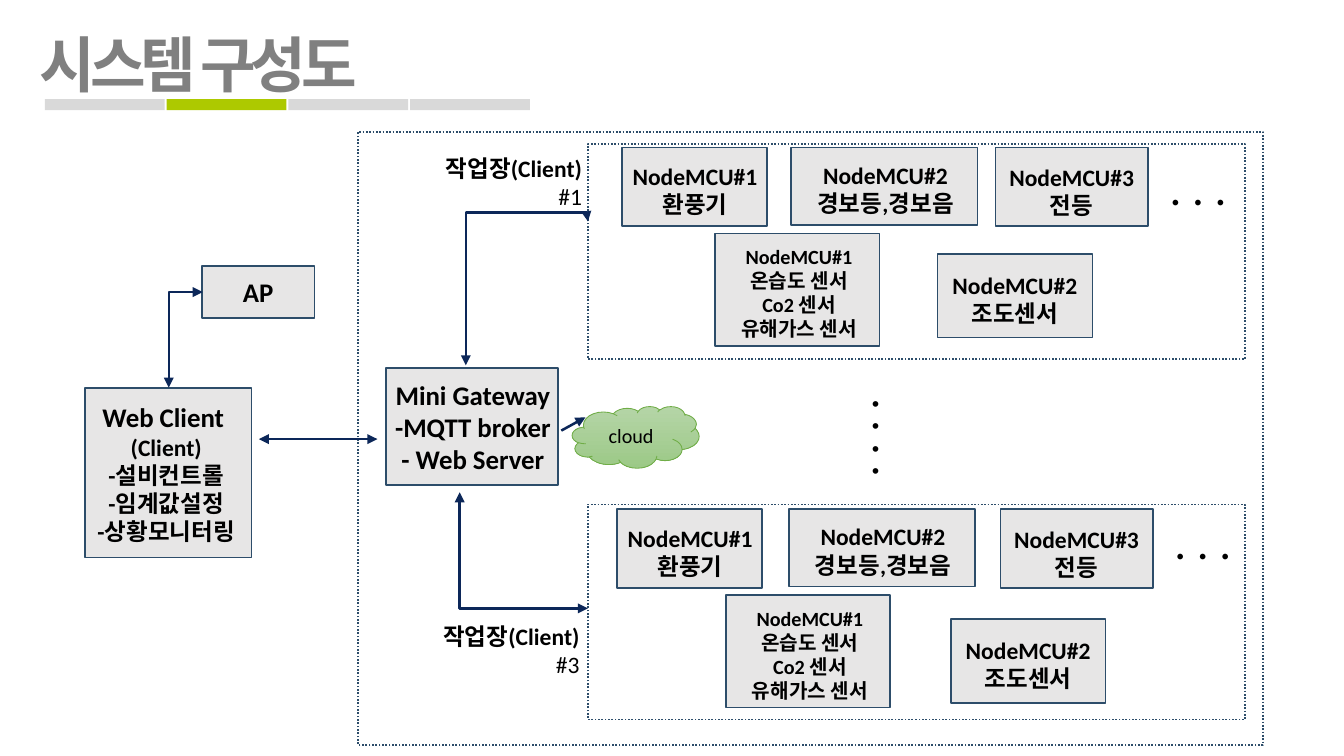
"""Builds the system architecture slide of an MQTT workshop control system."""
from pptx import Presentation
from pptx.dml.color import RGBColor
from pptx.enum.dml import MSO_LINE
from pptx.enum.shapes import MSO_CONNECTOR, MSO_SHAPE
from pptx.enum.text import MSO_ANCHOR, MSO_AUTO_SIZE, PP_ALIGN
from pptx.oxml.ns import qn
from pptx.util import Inches, Pt
from lxml.etree import SubElement

WHITE = RGBColor(0xFF, 0xFF, 0xFF)
BLACK = RGBColor(0x00, 0x00, 0x00)
TITLE_GRAY = RGBColor(0x80, 0x80, 0x80)
BAR_GRAY = RGBColor(0xD9, 0xD9, 0xD9)
BAR_GREEN = RGBColor(0xAD, 0xC9, 0x00)
BOX_GRAY = RGBColor(0xE7, 0xE6, 0xE6)
BOX_LINE = RGBColor(0x2D, 0x4D, 0x6A)
ARROW_NAVY = RGBColor(0x0C, 0x27, 0x59)
CLOUD_TOP = RGBColor(0xB5, 0xD5, 0xA7)
CLOUD_BOTTOM = RGBColor(0x9C, 0xC9, 0x87)
CLOUD_LINE = RGBColor(0x70, 0xAD, 0x47)

BODY_FONT = "Calibri"
TITLE_FONT = "Noto Sans CJK KR"

NODES = [
    ("NodeMCU#1\n환풍기", 14, (1.2, 0.65), (-0.02, 0.07, 1.25, 0.57)),
    ("NodeMCU#2\n경보등,경보음", 14, (1.54, 0.64), (0.01, 0.06, 1.54, 0.57)),
    ("NodeMCU#3\n전등", 14, (1.26, 0.65), (0, 0.08, 1.26, 0.57)),
    ("NodeMCU#1\n온습도 센서\nCo2 센서\n유해가스 센서", 12, (1.36, 0.93), (0.05, 0.04, 1.29, 0.91)),
    ("NodeMCU#2\n조도센서", 14, (1.28, 0.69), (0.02, 0.09, 1.24, 0.57)),
]
WORKSHOPS = [
    {
        "frame_top": 1.19, "name": "작업장(Client)\n#1", "name_at": (3.49, 1.22, 1.42, 0.57),
        "nodes": [(5.14, 1.22), (6.54, 1.22), (8.23, 1.22), (5.91, 1.93), (7.75, 2.1)],
        "dots_at": (9.57, 1.26, 1.1, 0.57),
    },
    {
        "frame_top": 4.17, "name": "작업장(Client)\n#3", "name_at": (3.35, 5.09, 1.54, 0.57),
        "nodes": [(5.1, 4.21), (6.52, 4.21), (8.27, 4.21), (6, 4.92), (7.86, 5.12)],
        "dots_at": (9.61, 4.19, 1.1, 0.57),
    },
]


def format_run(run, size, bold=False, color=BLACK, font_name=BODY_FONT):
    """Set the font of a run for Latin and Korean letters."""
    run.font.size = Pt(size)
    run.font.bold = bold
    run.font.name = font_name
    run.font.color.rgb = color
    SubElement(run._r.get_or_add_rPr(), qn("a:ea")).set("typeface", font_name)


def format_paragraphs(text_frame, size, bold, alignment):
    """Apply one look to all paragraphs."""
    for paragraph in text_frame.paragraphs:
        paragraph.alignment = alignment
        for run in paragraph.runs:
            format_run(run, size, bold)


def add_label(slide, text, area, size=14, bold=True, alignment=PP_ALIGN.CENTER):
    """Add a text box and return it."""
    label = slide.shapes.add_textbox(*map(Inches, area))
    text_frame = label.text_frame
    text_frame.text = text
    text_frame.word_wrap = alignment != PP_ALIGN.CENTER
    format_paragraphs(text_frame, size, bold, alignment)
    return label


def add_box(slide, area, fill=BOX_GRAY, line=BOX_LINE, dotted=False):
    """Add a rectangle; a fill or line of None is left out."""
    box = slide.shapes.add_shape(MSO_SHAPE.RECTANGLE, *map(Inches, area))
    box.shadow.inherit = False
    if fill is None:
        box.fill.background()
    else:
        box.fill.solid()
        box.fill.fore_color.rgb = fill
    if line is None:
        box.line.fill.background()
    else:
        box.line.color.rgb = line
        box.line.width = Pt(1)
    if dotted:
        box.line.dash_style = MSO_LINE.ROUND_DOT
    return box


def add_arrow(slide, start, end, preset="line", bend=None, quarter_turn=False, both_ends=True):
    """Add an arrow whose start and end are given before any turn."""
    kind = MSO_CONNECTOR.STRAIGHT if preset == "line" else MSO_CONNECTOR.ELBOW
    arrow = slide.shapes.add_connector(kind, *map(Inches, start + end))
    arrow.line.color.rgb = ARROW_NAVY
    arrow.line.width = Pt(1.5)
    properties = arrow._element.spPr
    geometry = properties.find(qn("a:prstGeom"))
    geometry.set("prst", preset)
    if bend is not None:
        guides = geometry.find(qn("a:avLst"))
        if guides is None:
            guides = SubElement(geometry, qn("a:avLst"))
        guide = SubElement(guides, qn("a:gd"))
        guide.set("name", "adj1")
        guide.set("fmla", f"val {round(bend * 100000)}")
    if quarter_turn:
        properties.find(qn("a:xfrm")).set("rot", "5400000")
    line = properties.find(qn("a:ln"))
    for tag in ("a:headEnd", "a:tailEnd") if both_ends else ("a:tailEnd",):
        SubElement(line, qn(tag)).set("type", "triangle")
    SubElement(properties, qn("a:effectLst"))


def add_title(slide):
    """Format the title and draw the progress bar below it."""
    title = slide.shapes.title
    title.left, title.top, title.width, title.height = map(Inches, (0.17, 0.22, 2.94, 0.61))
    text_frame = title.text_frame
    text_frame.text = "시스템 구성도"
    text_frame.auto_size = MSO_AUTO_SIZE.NONE
    text_frame.word_wrap = False
    text_frame.vertical_anchor = MSO_ANCHOR.MIDDLE
    text_frame.margin_top = text_frame.margin_bottom = 0
    paragraph = text_frame.paragraphs[0]
    paragraph.alignment = PP_ALIGN.CENTER
    run = paragraph.runs[0]
    format_run(run, 36, True, TITLE_GRAY, TITLE_FONT)
    run._r.get_or_add_rPr().set("spc", "-300")
    for index in range(4):
        color = BAR_GREEN if index == 1 else BAR_GRAY
        add_box(slide, (0.37 + index * 1.007, 0.82, 0.99, 0.09), color, None)


def add_workshop(slide, workshop):
    """Add a dotted workshop frame with its nodes."""
    add_box(slide, (4.86, workshop["frame_top"], 5.43, 1.78), None, dotted=True)
    for (text, size, box_size, label_area), (left, top) in zip(NODES, workshop["nodes"]):
        offset_x, offset_y, width, height = label_area
        add_box(slide, (left, top) + box_size)
        add_label(slide, text, (left + offset_x, top + offset_y, width, height), size)
    add_label(slide, ". . .", workshop["dots_at"], 28, False, PP_ALIGN.LEFT)
    name = add_label(slide, workshop["name"], workshop["name_at"], alignment=PP_ALIGN.RIGHT)
    name.text_frame.paragraphs[1].runs[0].font.bold = False


def add_clients(slide):
    """Add the access point, the web client and the gateway."""
    access_point = add_box(slide, (1.67, 2.2, 0.93, 0.43))
    access_point.text_frame.text = "AP"
    access_point.text_frame.vertical_anchor = MSO_ANCHOR.MIDDLE
    format_paragraphs(access_point.text_frame, 16, True, PP_ALIGN.CENTER)
    add_box(slide, (0.7, 3.21, 1.38, 1.4))
    client = add_label(slide, "Web Client \n(Client)\n-설비컨트롤\n-임계값설정\n-상황모니터링",
                       (0.59, 3.26, 1.57, 1.51))
    client.text_frame.paragraphs[0].runs[0].font.size = Pt(16)
    add_box(slide, (3.19, 3.04, 1.42, 0.97))
    add_label(slide, "Mini Gateway\n-MQTT broker\n- Web Server", (3.16, 3.08, 1.5, 1.11), 16)


def add_cloud(slide):
    """Add the green cloud."""
    cloud = slide.shapes.add_shape(MSO_SHAPE.CLOUD, *map(Inches, (4.73, 3.36, 1.05, 0.51)))
    cloud.shadow.inherit = False
    cloud.fill.gradient()
    cloud.fill.gradient_angle = 270
    for stop, color in zip(cloud.fill.gradient_stops, (CLOUD_TOP, CLOUD_BOTTOM)):
        stop.color.rgb = color
    cloud.line.color.rgb = CLOUD_LINE
    cloud.line.width = Pt(0.5)
    cloud.text_frame.text = "cloud"
    cloud.text_frame.word_wrap = False
    cloud.text_frame.vertical_anchor = MSO_ANCHOR.MIDDLE
    format_paragraphs(cloud.text_frame, 12, False, PP_ALIGN.CENTER)


def main():
    """Build and save the slide."""
    presentation = Presentation()
    presentation.slide_width, presentation.slide_height = Inches(11.11), Inches(6.25)
    slide = presentation.slides.add_slide(presentation.slide_layouts[5])
    slide.background.fill.solid()
    slide.background.fill.fore_color.rgb = WHITE
    add_title(slide)
    add_box(slide, (2.96, 1.09, 7.48, 5.07), WHITE, dotted=True)
    add_clients(slide)
    for workshop in WORKSHOPS:
        add_workshop(slide, workshop)
    more_workshops = add_label(slide, ". . . .", (6.82, 3.46, 1.1, 0.57), 28, False, PP_ALIGN.LEFT)
    more_workshops.rotation = 90
    add_arrow(slide, (1.93, 2.95), (1.14, 2.67), "bentConnector2", quarter_turn=True)
    add_arrow(slide, (2.14, 3.63), (3.12, 3.63))
    add_arrow(slide, (4.64, 3.56), (4.84, 3.45), both_ends=False)
    add_arrow(slide, (4.95, 2.93), (3.76, 1.92), "bentConnector3", 1.06, quarter_turn=True)
    add_arrow(slide, (3.8, 4.07), (4.86, 5.03), "bentConnector3", 0)
    add_cloud(slide)
    presentation.save("out.pptx")


if __name__ == "__main__":
    main()
